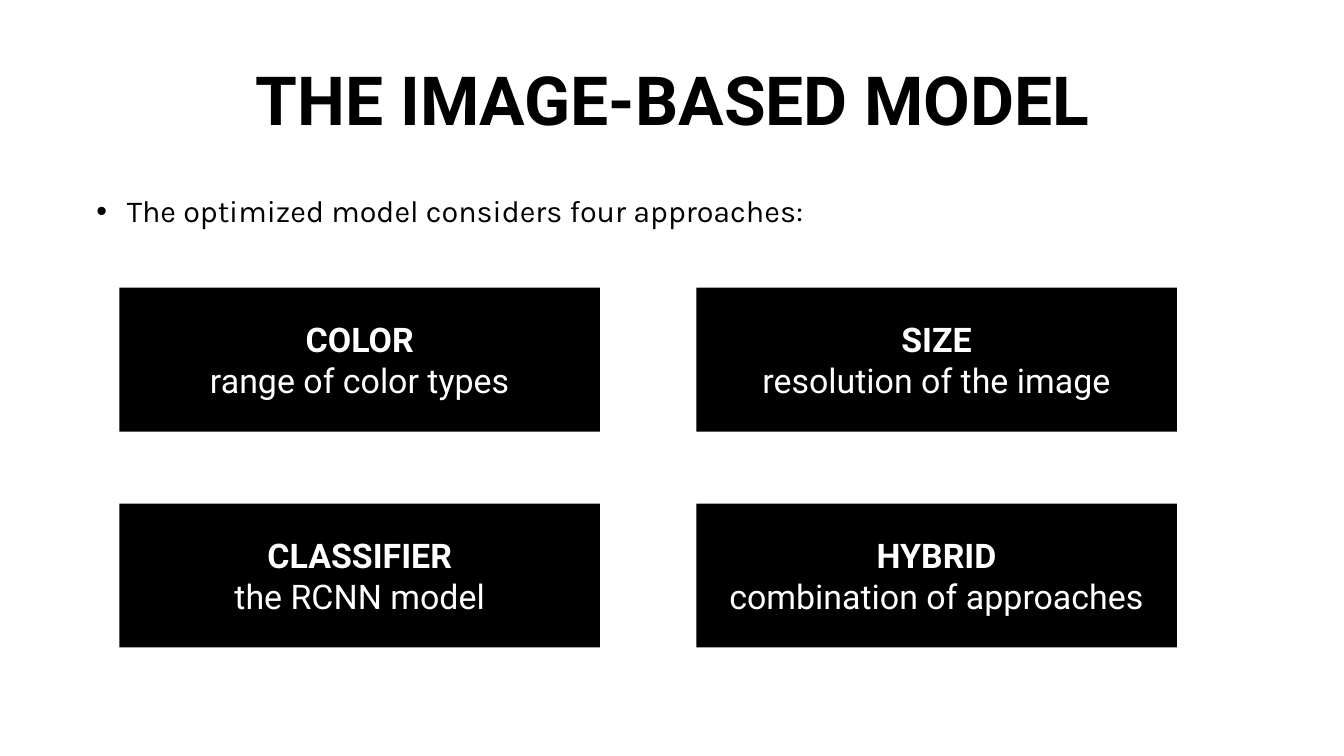
from dataclasses import dataclass

from lxml import etree
from pptx import Presentation
from pptx.dml.color import RGBColor
from pptx.enum.shapes import MSO_SHAPE
from pptx.enum.text import MSO_ANCHOR, PP_ALIGN
from pptx.oxml.ns import qn
from pptx.util import Inches, Pt

RECTANGLE = MSO_SHAPE.RECTANGLE
TOP, MIDDLE = MSO_ANCHOR.TOP, MSO_ANCHOR.MIDDLE
LEFT, CENTER = PP_ALIGN.LEFT, PP_ALIGN.CENTER


@dataclass(frozen=True)
class Theme:
    black: RGBColor = RGBColor(0, 0, 0)
    white: RGBColor = RGBColor(255, 255, 255)
    heading_font: str = "Roboto"
    body_font: str = "Karla"
    title_size: int = 40
    card_size: int = 20
    body_size: int = 18


THEME = Theme()
APPROACHES = [
    ("COLOR", "range of color types"),
    ("SIZE", "resolution of the image"),
    ("CLASSIFIER", "the RCNN model"),
    ("HYBRID", "combination of approaches"),
]
COLUMNS = 2
CARD_LEFT, CARD_TOP = 0.98, 2.36
CARD_WIDTH, CARD_HEIGHT = 3.94, 1.18
COLUMN_STEP, ROW_STEP = 4.73, 1.77


def prepare_text(shape, anchor, alignment):
    frame = shape.text_frame
    frame.word_wrap = True
    frame.vertical_anchor = anchor
    frame.margin_left = frame.margin_right = Inches(0)
    frame.margin_top = frame.margin_bottom = Inches(0)
    paragraph = frame.paragraphs[0]
    paragraph.alignment = alignment
    return paragraph


def add_run(paragraph, text, font, size, color, bold=False):
    run = paragraph.add_run()
    run.text = text
    run.font.name = font
    run.font.size = Pt(size)
    run.font.color.rgb = color
    run.font.bold = bold


def add_title(slide, text):
    box = slide.shapes.add_textbox(Inches(1.38), Inches(0.39), Inches(8.27), Inches(0.91))
    paragraph = prepare_text(box, MIDDLE, CENTER)
    paragraph.line_spacing = 0.9
    add_run(paragraph, text, THEME.heading_font, THEME.title_size, THEME.black, bold=True)


def add_bullet(slide, text):
    box = slide.shapes.add_textbox(Inches(0.79), Inches(1.61), Inches(9.45), Inches(0.59))
    paragraph = prepare_text(box, TOP, LEFT)
    paragraph.line_spacing = 0.9
    paragraph.space_before = Pt(10)
    add_run(paragraph, text, THEME.body_font, THEME.body_size, THEME.black)
    properties = paragraph._p.get_or_add_pPr()
    properties.set("marL", str(Inches(0.25)))
    properties.set("indent", str(Inches(-0.25)))
    etree.SubElement(properties, qn("a:buFont")).set("typeface", "Arial")
    etree.SubElement(properties, qn("a:buChar")).set("char", "•")


def add_card(slide, left, top, name, description):
    card = slide.shapes.add_shape(
        RECTANGLE, Inches(left), Inches(top), Inches(CARD_WIDTH), Inches(CARD_HEIGHT)
    )
    card.shadow.inherit = False
    card.fill.solid()
    card.fill.fore_color.rgb = THEME.black
    card.line.fill.background()
    paragraph = prepare_text(card, MIDDLE, CENTER)
    add_run(paragraph, name, THEME.heading_font, THEME.card_size, THEME.white, bold=True)
    paragraph.add_line_break()
    add_run(paragraph, description, THEME.heading_font, THEME.card_size, THEME.white)


def main():
    presentation = Presentation()
    presentation.slide_width = Inches(11.02)
    presentation.slide_height = Inches(6.2)
    slide = presentation.slides.add_slide(presentation.slide_layouts[6])
    slide.background.fill.solid()
    slide.background.fill.fore_color.rgb = THEME.white

    add_title(slide, "THE IMAGE-BASED MODEL")
    add_bullet(slide, "The optimized model considers four approaches:")
    for index, (name, description) in enumerate(APPROACHES):
        row, column = divmod(index, COLUMNS)
        left = CARD_LEFT + column * COLUMN_STEP
        top = CARD_TOP + row * ROW_STEP
        add_card(slide, left, top, name, description)

    presentation.save("out.pptx")


if __name__ == "__main__":
    main()
